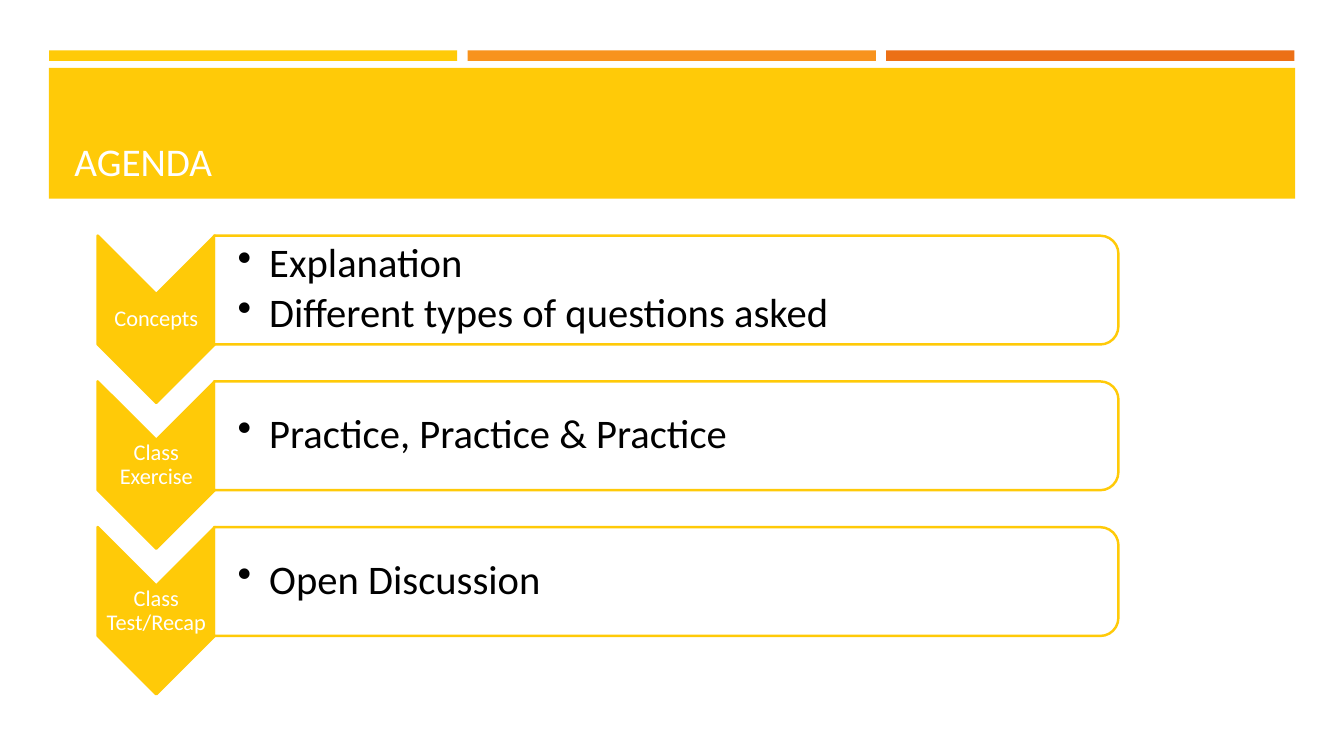
from lxml import etree
from pptx import Presentation
from pptx.dml.color import RGBColor
from pptx.enum.shapes import MSO_SHAPE
from pptx.enum.text import MSO_ANCHOR, MSO_AUTO_SIZE, PP_ALIGN
from pptx.oxml.ns import qn
from pptx.util import Pt

RECTANGLE = MSO_SHAPE.RECTANGLE
CHEVRON = MSO_SHAPE.CHEVRON
ROUNDED_END = MSO_SHAPE.ROUND_2_SAME_RECTANGLE
BOTTOM, MIDDLE = MSO_ANCHOR.BOTTOM, MSO_ANCHOR.MIDDLE
LEFT, CENTER = PP_ALIGN.LEFT, PP_ALIGN.CENTER
NO_AUTOFIT = MSO_AUTO_SIZE.NONE

YELLOW = RGBColor(0xFF, 0xCA, 0x08)
AMBER = RGBColor(0xF8, 0x93, 0x1D)
ORANGE = RGBColor(0xEC, 0x70, 0x16)
WHITE = RGBColor(0xFF, 0xFF, 0xFF)
BLACK = RGBColor(0x00, 0x00, 0x00)

deck = Presentation()
deck.slide_width, deck.slide_height = Pt(960), Pt(540)
page = deck.slides.add_slide(deck.slide_layouts[5])


def add_block(kind, left, top, width, height, fill, line=None):
    block = page.shapes.add_shape(kind, Pt(left), Pt(top), Pt(width), Pt(height))
    block.shadow.inherit = False
    block.fill.solid()
    block.fill.fore_color.rgb = fill
    if line is None:
        block.line.fill.background()
    else:
        block.line.color.rgb = line
        block.line.width = Pt(1.75)
    return block


def write_text(frame, lines, anchor, font, paragraph):
    frame.word_wrap = True
    frame.auto_size = NO_AUTOFIT
    frame.vertical_anchor = anchor
    for index, line in enumerate(lines):
        para = frame.add_paragraph() if index else frame.paragraphs[0]
        for name, value in paragraph.items():
            setattr(para, name, value)
        span = para.add_run()
        span.text = line
        span.font.color.rgb = font["color"]
        span.font.size = Pt(font["size"])
        span.font.name = "Calibri"


for column, color in enumerate([YELLOW, AMBER, ORANGE]):
    add_block(RECTANGLE, 35 + column * 299, 36, 291.6, 7.5, color)
add_block(RECTANGLE, 34.9, 48.5, 890.3, 93.5, YELLOW)

title = page.shapes.title
title_place = {"left": 46, "top": 55.3, "width": 868.3, "height": 80}
for name, value in title_place.items():
    setattr(title, name, Pt(value))
write_text(title.text_frame, ["AGENDA"], BOTTOM,
           {"size": 28, "color": WHITE}, {"alignment": LEFT})
page.shapes._spTree.append(title._element)

agenda = [
    ("Concepts", ["Explanation", "Different types of questions asked"]),
    ("Class Exercise", ["Practice, Practice & Practice"]),
    ("Class Test/Recap", ["Open Discussion"]),
]
label_style = {"alignment": CENTER, "line_spacing": 0.9, "space_after": Pt(5.6)}
item_style = {"alignment": LEFT, "line_spacing": 0.9, "space_after": Pt(4.35), "level": 1}

for row, (label, items) in enumerate(agenda):
    top = 168.2 + row * 104.1

    arrow = add_block(CHEVRON, 51.8, top + 18, 119.5, 83.7, YELLOW, YELLOW)
    arrow.rotation = 90
    label_box = page.shapes.add_textbox(Pt(69.8), Pt(top + 42), Pt(83.7), Pt(36))
    panel = add_block(ROUNDED_END, 437, top - 284, 77.7, 646, WHITE, YELLOW)
    panel.rotation = 90
    panel_color = panel._element.spPr.find(qn("a:solidFill"))[0]
    etree.SubElement(panel_color, qn("a:alpha")).set("val", "90000")
    item_box = page.shapes.add_textbox(Pt(153.5), Pt(top + 3.8), Pt(642.2), Pt(70))

    for box, first_inset, inset in [(label_box, 0.8, 0.8), (item_box, 16.3, 1.4)]:
        frame = box.text_frame
        frame.margin_left = Pt(first_inset)
        frame.margin_right = frame.margin_top = frame.margin_bottom = Pt(inset)
    write_text(label_box.text_frame, [label], MIDDLE,
               {"size": 16, "color": WHITE}, label_style)
    write_text(item_box.text_frame, items, MIDDLE,
               {"size": 29, "color": BLACK}, item_style)
    for para in item_box.text_frame.paragraphs:
        properties = para._p.get_or_add_pPr()
        properties.set("marL", str(Pt(22.5)))
        properties.set("indent", str(-Pt(22.5)))
        etree.SubElement(properties, qn("a:buChar")).set("char", "•")

deck.save("out.pptx")
